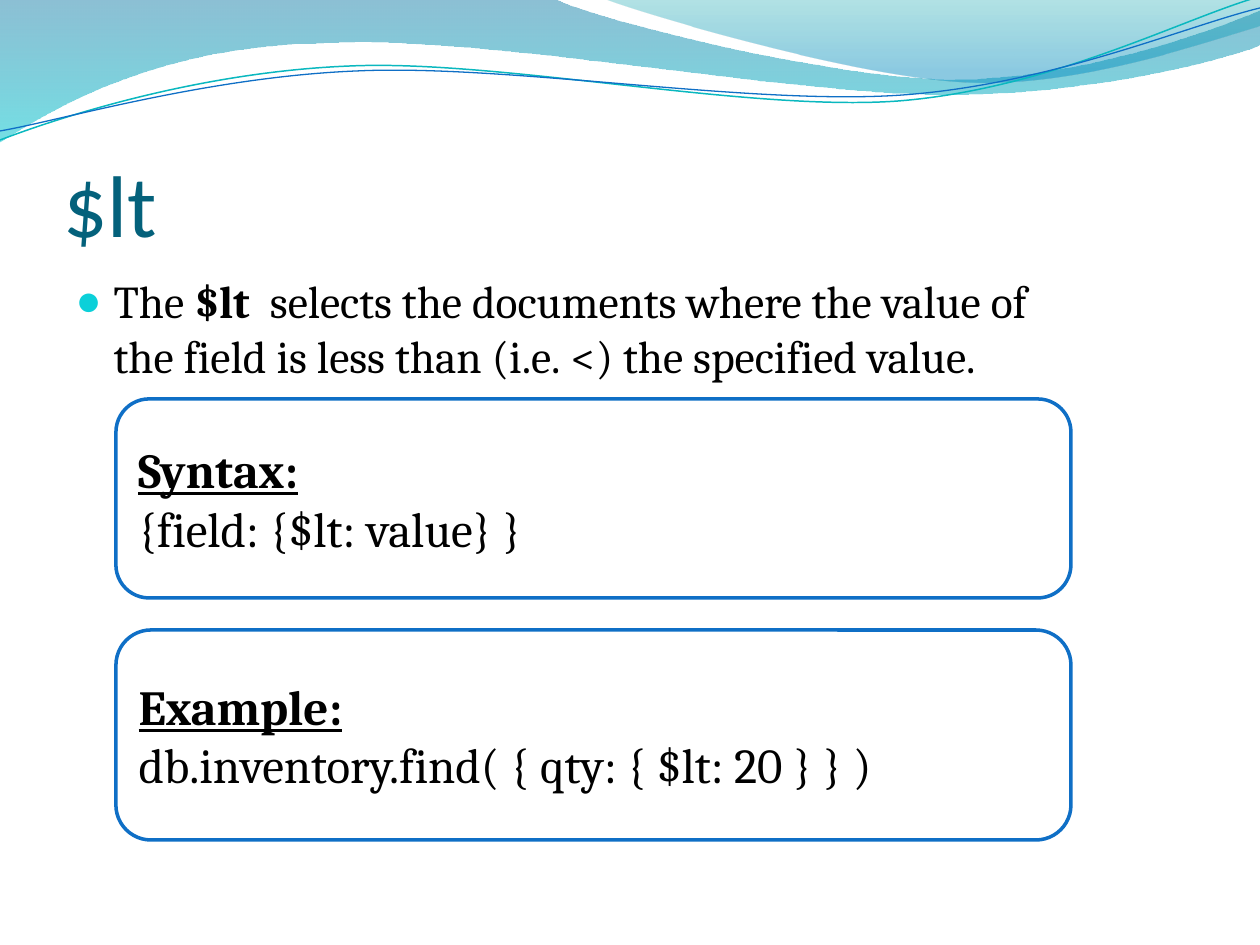
from lxml import etree
from pptx import Presentation
from pptx.dml.color import RGBColor
from pptx.enum.shapes import MSO_SHAPE as SHAPE
from pptx.enum.text import MSO_ANCHOR as ANCHOR, MSO_AUTO_SIZE as AUTO, PP_ALIGN as ALIGN
from pptx.oxml.ns import qn
from pptx.util import Pt

PX = 914400 / 126  # EMU per px
BLUE = "0F6FC6"
NBSP = chr(160)  # typed as ~ in the texts below


def rgb(value):
    return RGBColor.from_string(value)


def add_run(p, text, size=28, font="Cambria", color="000000", bold=False, underline=False):
    r = p.add_run()
    r.text = text.replace("~", NBSP)
    r.font.size, r.font.name = Pt(size), font
    r.font.bold, r.font.underline = bold, underline
    r.font.color.rgb = rgb(color)


prs = Presentation()
prs.slide_width, prs.slide_height = round(1260 * PX), round(945 * PX)
s = prs.slides.add_slide(prs.slide_layouts[1])

# Header waves: a step of one point is a line, a step of three is a Bezier curve
waves = [
    dict(start=(0, 0), stops=[("0074A1", 0, 45), ("00C6CF", 1, 55)],
         steps=[(554, -1), (600, 21, 837, 79, 955, 79), (1075, 79, 1207, 33, 1260, 11),
                (1261, 45), (1239, 55, 1096, 96, 940, 94), (784, 94, 481, 35, 324, 43),
                (163, 45, 58, 105, -1, 142), (0, 0)]),
    dict(start=(604, -1), stops=[("00A1A9", 0, 30), ("008BBF", 0.8, 45)],
         steps=[(641, 14, 859, 78, 969, 82), (1079, 87, 1211, 40, 1260, 26), (1260, 0),
                (604, -1)]),
    dict(start=(0, 140), line=("0AB8BF", 0.85),
         steps=[(60, 117, 199, 72, 349, 66), (498, 59, 747, 112, 898, 101),
                (1050, 89, 1182, 19, 1258, -3)]),
    dict(start=(0, 131), line=(BLUE, 0.75),
         steps=[(59, 121, 207, 77, 357, 71), (508, 64, 752, 106, 903, 95),
                (1053, 84, 1186, 26, 1260, 8)]),
]
for wave in waves:
    fb = s.shapes.build_freeform(*wave["start"], scale=PX)
    for step in wave["steps"]:
        fb.add_line_segments(list(zip(step[::2], step[1::2])), close=False)
    sp = fb.convert_to_shape()
    sp.shadow.inherit = False

    # Join the three segments of each curve step into one cubic Bezier
    segments = iter(list(sp.element.iter(qn("a:lnTo"))))
    for step in wave["steps"]:
        group = [next(segments) for _ in step[::2]]
        if len(group) == 3:
            curve = etree.Element(qn("a:cubicBezTo"))
            group[0].addprevious(curve)
            for segment in group:
                curve.append(segment[0])
                segment.getparent().remove(segment)

    if "stops" in wave:
        outline = next(sp.element.iter(qn("a:moveTo"))).getparent()
        etree.SubElement(outline, qn("a:close"))
        sp.line.fill.background()
        sp.fill.gradient()
        sp.fill.gradient_angle = 270
        for stop, (color, position, _) in zip(sp.fill.gradient_stops, wave["stops"]):
            stop.color.rgb = rgb(color)
            stop.position = position
        for clr, (_, _, opacity) in zip(sp.element.spPr.iter(qn("a:srgbClr")), wave["stops"]):
            etree.SubElement(clr, qn("a:alpha"), val=str(opacity * 1000))
    else:
        color, width = wave["line"]
        sp.fill.background()
        sp.line.color.rgb, sp.line.width = rgb(color), Pt(width)

# Title and body placeholders, brought in front of the waves
title, body = s.shapes.title, s.placeholders[1]
for sp, top, height in ((title, 97, 158), (body, 267, 605)):
    sp.left, sp.top, sp.width, sp.height = [round(v * PX) for v in (63, top, 1134, height)]
    sp.text_frame.auto_size = AUTO.NONE
    s.shapes.element.append(sp.element)

tf = title.text_frame
tf.vertical_anchor = ANCHOR.BOTTOM
tf.margin_left = tf.margin_right = tf.margin_bottom = 0
p = tf.paragraphs[0]
p.alignment = ALIGN.LEFT
add_run(p, "$lt", size=50, font="Calibri", color="04617B")

p = body.text_frame.paragraphs[0]
add_run(p, "The~", size=26)
add_run(p, "$lt", size=26, bold=True)
add_run(p, "~~selects the documents where the value of the~field~is less than "
           "(i.e.~<) the specified~value.", size=26)

# Bullet
pPr = p._p.get_or_add_pPr()
pPr.set("marL", str(round(38 * PX)))
pPr.set("indent", str(round(-38 * PX)))
bu_clr = etree.SubElement(pPr, qn("a:buClr"))
etree.SubElement(bu_clr, qn("a:srgbClr"), val="0BD0D9")
etree.SubElement(pPr, qn("a:buSzPct"), val="95000")
etree.SubElement(pPr, qn("a:buChar"), char="●")

# Syntax and example boxes
boxes = [
    (399, 199, "Syntax:", "{field:~{$lt:~value}~}"),
    (630, 210, "Example:", "db.inventory.find( { qty: { $lt: 20 } } )"),
]
for top, height, heading, code in boxes:
    sp = s.shapes.add_shape(SHAPE.ROUNDED_RECTANGLE,
                            *[round(v * PX) for v in (116, top, 955, height)])
    sp.shadow.inherit = False
    sp.fill.solid()
    sp.fill.fore_color.rgb = rgb("FFFFFF")
    sp.line.color.rgb, sp.line.width = rgb(BLUE), Pt(2)
    tf = sp.text_frame
    tf.word_wrap = True
    tf.vertical_anchor = ANCHOR.MIDDLE
    add_run(tf.paragraphs[0], heading, bold=True, underline=True)
    add_run(tf.add_paragraph(), code)
    for p in tf.paragraphs:
        p.alignment = ALIGN.LEFT

prs.save("out.pptx")
